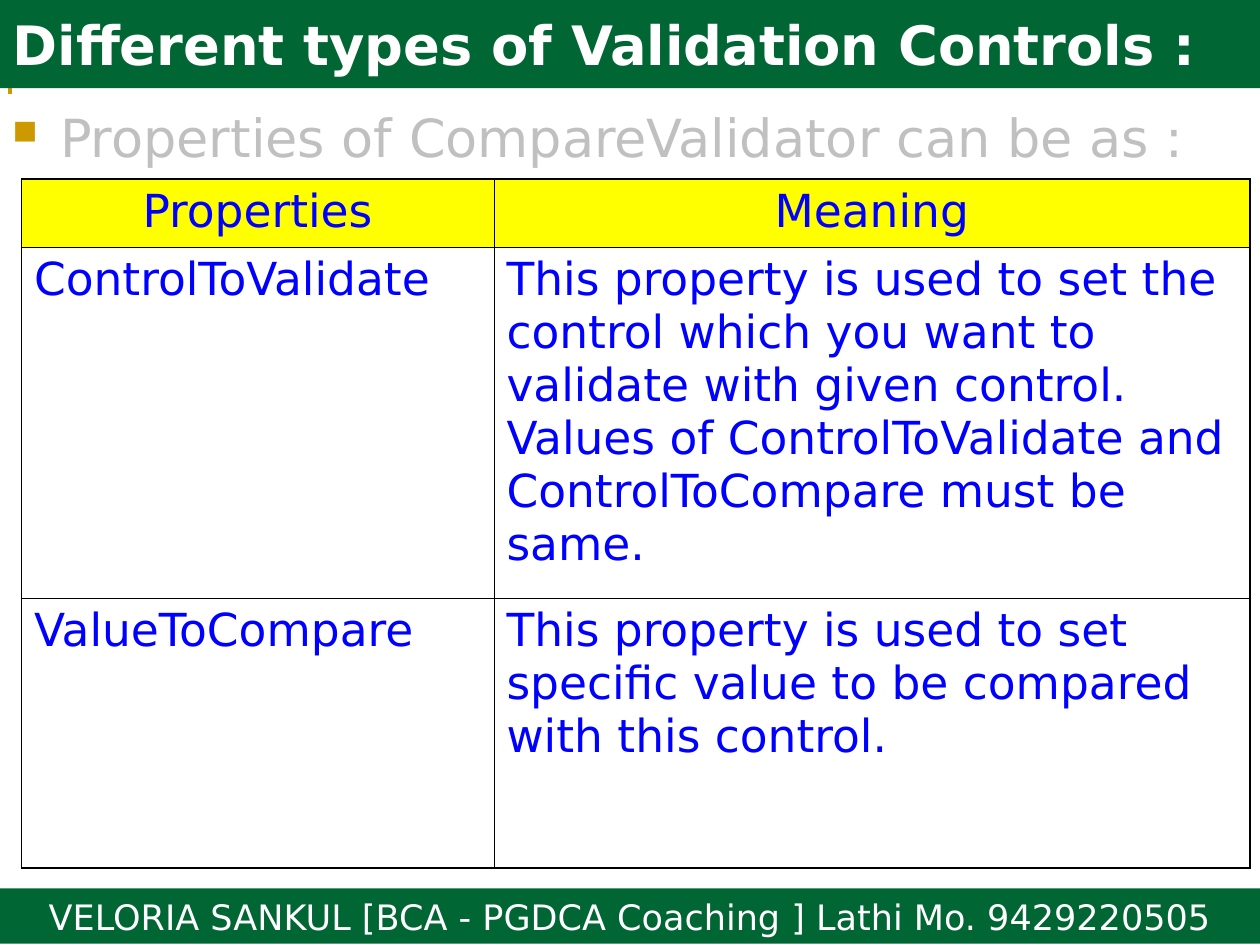
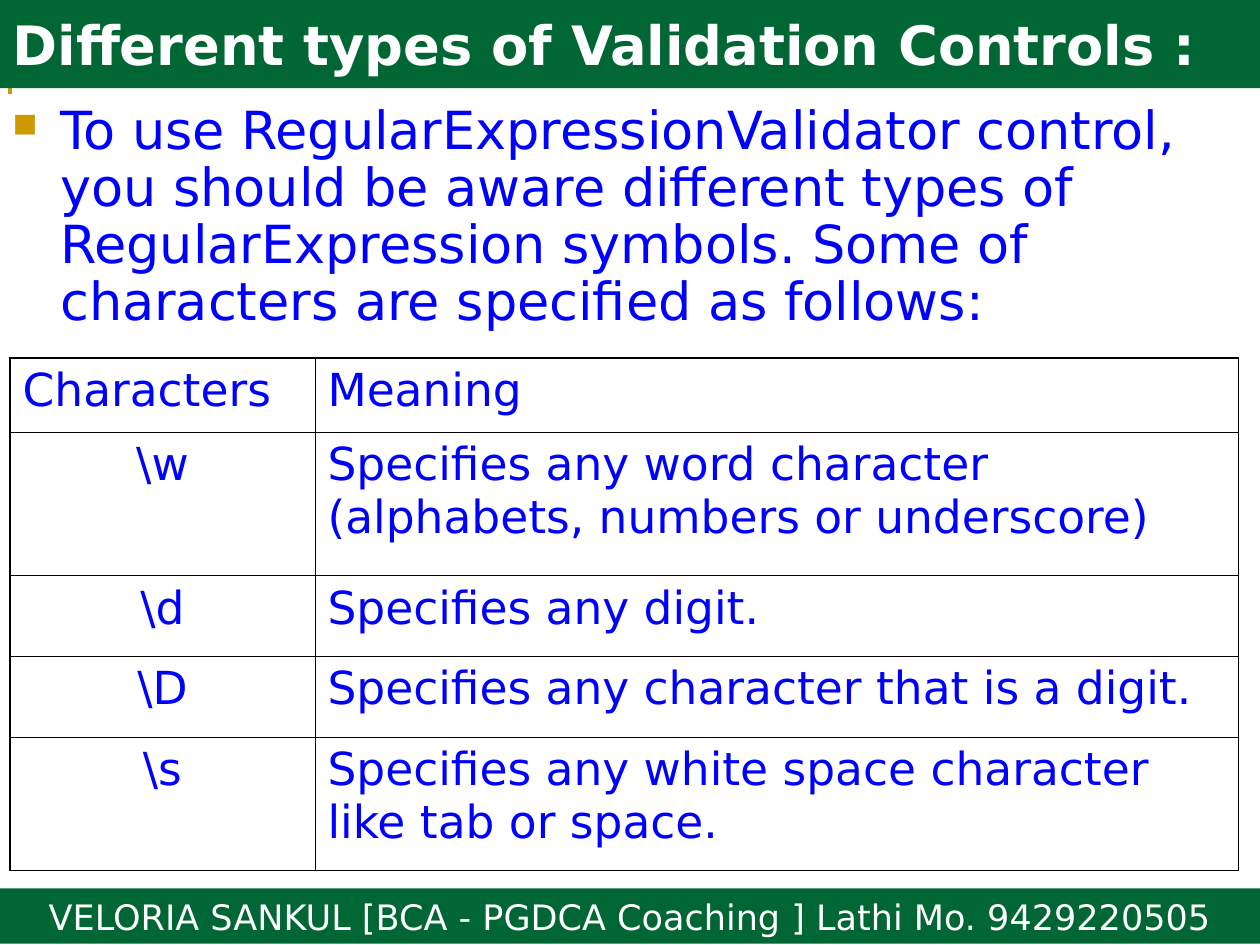
import pptx
import pptx.dml.color
import pptx.enum.shapes
import pptx.enum.text
import pptx.oxml
import pptx.oxml.ns
import pptx.util
from pptx.util import Inches

COLOURS = {
    "band": "006633",
    "accent": "CC9900",
    "light": "FFFFFF",
    "text": "0000FF",
    "faded": "C0C0C0",
    "header": "FFFF00",
    "border": "000000",
}
FONT = "DejaVu Sans"
TITLE = "Different types of Validation Controls :"
FOOTER = "VELORIA SANKUL [BCA - PGDCA Coaching ] Lathi Mo. 9429220505"
LEFT = pptx.enum.text.PP_ALIGN.LEFT
CENTER = pptx.enum.text.PP_ALIGN.CENTER
MIDDLE = pptx.enum.text.MSO_ANCHOR.MIDDLE
OUTER_LINE, INNER_LINE = 1.08, 0.45


def colour(name):
    return pptx.dml.color.RGBColor.from_string(COLOURS[name])


def xml(tag, content="", **attributes):
    """Make one DrawingML element from its tag, inner markup and attributes."""
    listed = " ".join(f'{key}="{value}"' for key, value in attributes.items())
    return pptx.oxml.parse_xml(
        f'<a:{tag} {pptx.oxml.ns.nsdecls("a")} {listed}>{content}</a:{tag}>')


def solid(name):
    return f'<a:srgbClr val="{COLOURS[name]}"/>'


class SlideBuilder:
    """Holds the shared style and the current slide."""

    def __init__(self, deck):
        self.deck = deck
        self.slide = None

    def new_slide(self):
        self.slide = self.deck.slides.add_slide(self.deck.slide_layouts[5])
        self.footer()
        self.corner_line()
        self.title()

    def set_text(self, frame, text, size, color, align=LEFT, bold=False, **frame_format):
        """Fill the first paragraph of a text frame and return it."""
        for name, value in {"word_wrap": True, **frame_format}.items():
            setattr(frame, name, value)
        para = frame.paragraphs[0]
        para.alignment = align
        span = para.add_run()
        span.text = text
        values = {"name": FONT, "size": pptx.util.Pt(size), "bold": bold}
        for name, value in values.items():
            setattr(span.font, name, value)
        span.font.color.rgb = colour(color)
        return para

    def fill(self, target, name):
        target.fill.solid()
        target.fill.fore_color.rgb = colour(name)

    def footer(self):
        band = self.slide.shapes.add_shape(
            pptx.enum.shapes.MSO_SHAPE.RECTANGLE,
            Inches(0), Inches(7.05), Inches(10), Inches(0.44))
        band.shadow.inherit = False
        band.line.fill.background()
        self.fill(band, "band")
        self.set_text(band.text_frame, FOOTER, 20, "light", CENTER,
                      vertical_anchor=MIDDLE)

    def corner_line(self):
        builder = self.slide.shapes.build_freeform(Inches(0.08), Inches(0.75))
        builder.add_line_segments(
            [(Inches(0.08), Inches(0.08)), (Inches(9.83), Inches(0.08))], close=False)
        corner = builder.convert_to_shape()
        corner.shadow.inherit = False
        corner.fill.background()
        corner.line.color.rgb = colour("accent")
        corner.line.width = pptx.util.Pt(2.25)

    def title(self):
        title = self.slide.shapes.title
        place = {"left": 0, "top": 0, "width": 10, "height": 0.7}
        for name, value in place.items():
            setattr(title, name, Inches(value))
        self.fill(title, "band")
        self.set_text(title.text_frame, TITLE, 31, "light", bold=True,
                      vertical_anchor=MIDDLE)
        # The title band covers the corner line, so it goes to the front.
        title.element.getparent().append(title.element)

    def bullet(self, text, height, color, line_spacing=1.0):
        box = self.slide.shapes.add_textbox(
            Inches(0), Inches(0.75), Inches(10), Inches(height))
        para = self.set_text(box.text_frame, text, 30, color, margin_top=Inches(0.08))
        properties = para._p.get_or_add_pPr()
        properties.set("marL", str(Inches(0.38)))
        properties.set("indent", str(-Inches(0.38)))
        properties.append(xml("buClr", solid("accent")))
        properties.append(xml("buSzPct", val=65000))
        properties.append(xml("buChar", char="■"))
        para.line_spacing = line_spacing

    def borders(self, cell, outer_sides):
        """Draw all four sides of a cell, heavier where it meets the table edge."""
        properties = cell._tc.get_or_add_tcPr()
        for side in "LRTB":
            width = OUTER_LINE if side in outer_sides else INNER_LINE
            properties.append(xml(
                "ln" + side, f"<a:solidFill>{solid('border')}</a:solidFill>",
                w=int(pptx.util.Pt(width))))

    def table(self, left, top, widths, heights, rows, header_fill="light",
              header_align=LEFT, key_align=LEFT):
        table = self.slide.shapes.add_table(
            len(rows), len(widths), Inches(left), Inches(top),
            Inches(sum(widths)), Inches(sum(heights))).table
        table.first_row = table.horz_banding = False
        for column, width in zip(table.columns, widths):
            column.width = Inches(width)
        for row, height in zip(table.rows, heights):
            row.height = Inches(height)
        last_row, last_column = len(rows) - 1, len(widths) - 1
        for r, texts in enumerate(rows):
            for c, text in enumerate(texts):
                cell = table.cell(r, c)
                edges = {"L": c == 0, "R": c == last_column,
                         "T": r == 0, "B": r == last_row}
                self.borders(cell, [side for side, outer in edges.items() if outer])
                self.fill(cell, header_fill if r == 0 else "light")
                align = header_align if r == 0 else key_align if c == 0 else LEFT
                self.set_text(cell.text_frame, text, 26, "text", align)


def compare_validator(builder):
    builder.new_slide()
    builder.bullet("Properties of CompareValidator can be as :", 0.67, "faded")
    builder.table(0.17, 1.42, [3.75, 6], [0.54, 2.79, 2.14], [
        ("Properties", "Meaning"),
        ("ControlToValidate",
         "This property is used to set the control which you want to validate with "
         "given control. Values of ControlToValidate and ControlToCompare must be same."),
        ("ValueToCompare",
         "This property is used to set specific value to be compared with this control."),
    ], header_fill="header", header_align=CENTER)


def regular_expression_validator(builder):
    builder.new_slide()
    builder.bullet(
        "To use RegularExpressionValidator control, you should be aware different types "
        "of RegularExpression symbols. Some of characters are specified as follows:",
        1.92, "text", line_spacing=0.9)
    builder.table(0.08, 2.84, [2.42, 7.33], [0.59, 1.14, 0.64, 0.64, 1.06], [
        ("Characters", "Meaning"),
        (r"\w", "Specifies any word character (alphabets, numbers or underscore)"),
        (r"\d", "Specifies any digit."),
        (r"\D", "Specifies any character that is a digit."),
        (r"\s", "Specifies any white space character like tab or space."),
    ], key_align=CENTER)


def main():
    deck = pptx.Presentation()
    deck.slide_width, deck.slide_height = Inches(10), Inches(7.5)
    builder = SlideBuilder(deck)
    compare_validator(builder)
    regular_expression_validator(builder)
    deck.save("out.pptx")


if __name__ == "__main__":
    main()
